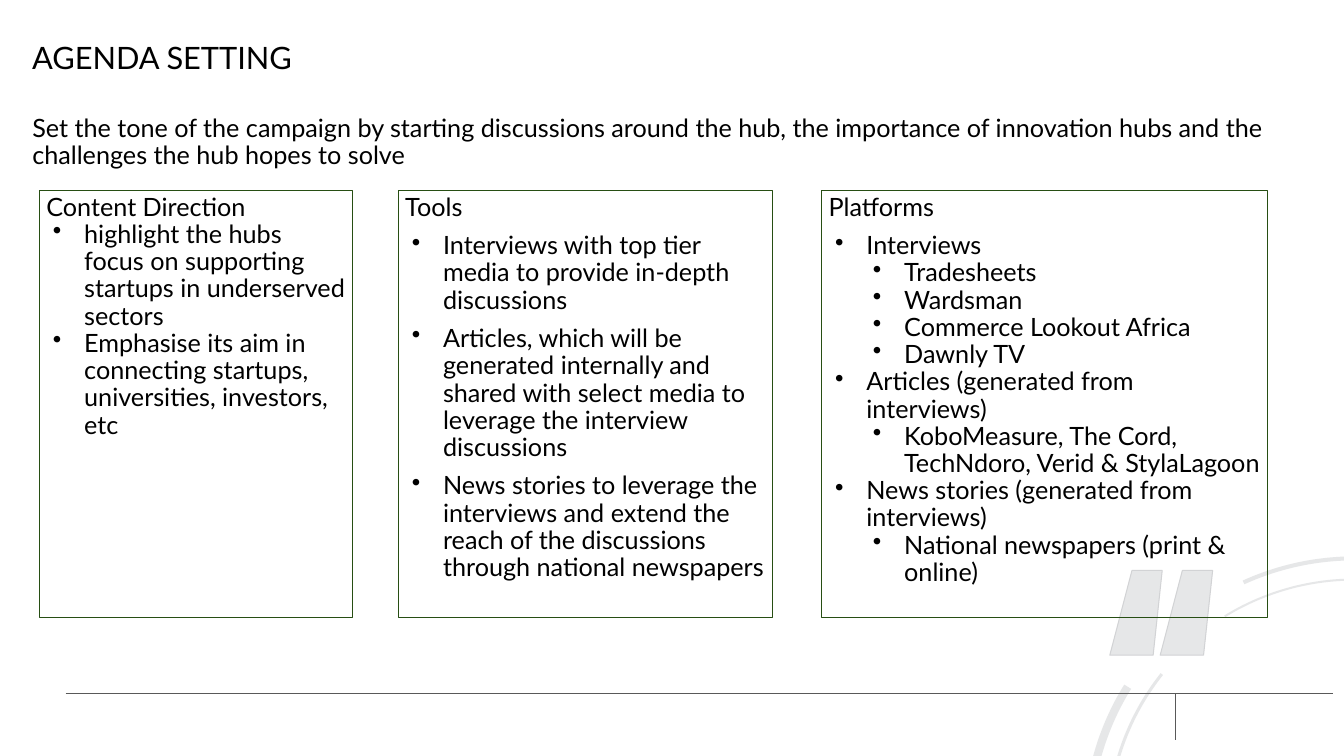
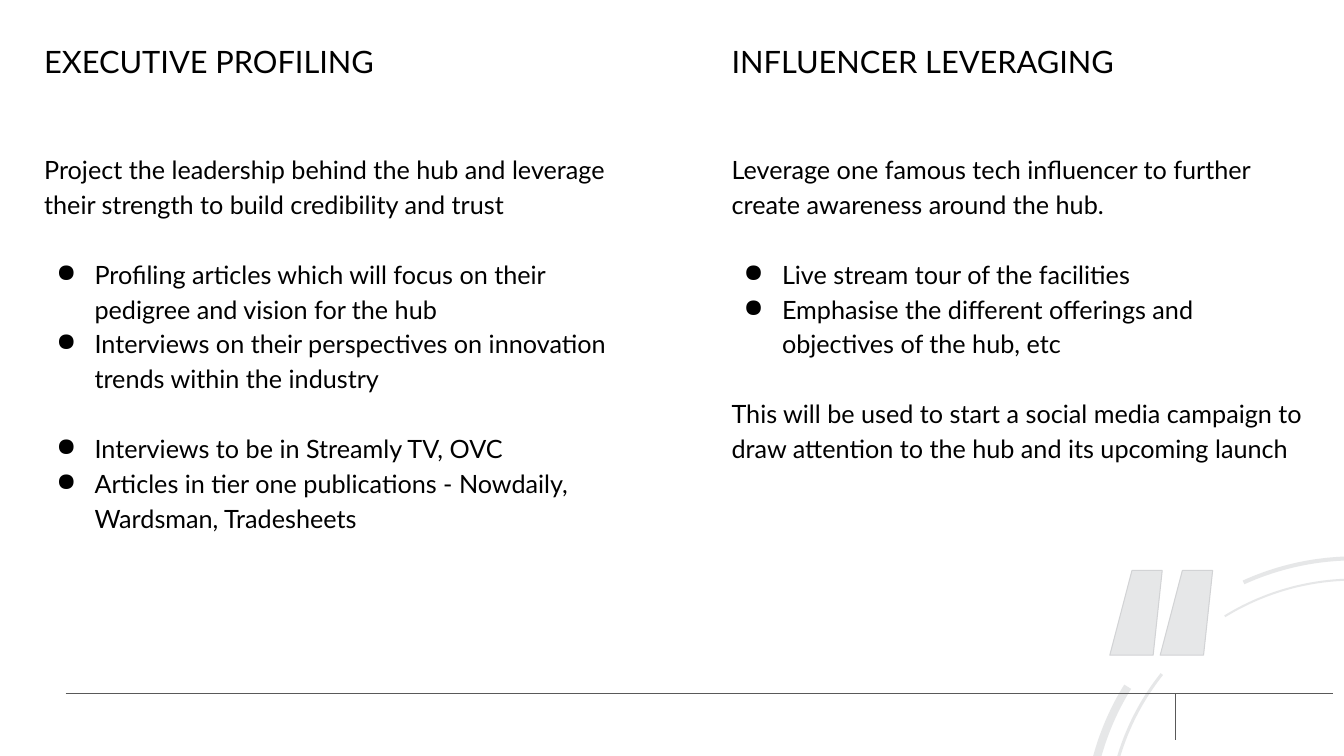
from math import cos, radians, sin

from lxml.etree import SubElement
from pptx import Presentation
from pptx.dml.color import RGBColor
from pptx.enum.shapes import MSO_CONNECTOR, MSO_SHAPE
from pptx.enum.text import MSO_ANCHOR, PP_ALIGN
from pptx.oxml.ns import qn
from pptx.util import Inches, Pt

COLS, ROWS = 133.33, 75  # grid of tenths of an inch
FONT = "Lato"
BLACK, GREY, EDGE, RULE, GREEN = "000000", "E6E7E8", "D2D3D5", "595959", "274E13"
TITLE_SIZE, BODY_SIZE = 22, 18

CAMPAIGN = ("Set the tone of the campaign by starting discussions around the hub, the "
            "importance of innovation hubs and the challenges the hub hopes to solve")

# Each line: text, list level (0 is plain), points of space before
PANELS = [
    (3.9, 31.1, [
        ("Content Direction", 0, 0),
        ("highlight the hubs focus on supporting startups in underserved sectors", 1, 0),
        ("Emphasise its aim in connecting startups, universities, investors, etc", 1, 0),
    ]),
    (39.5, 37.1, [
        ("Tools", 0, 0),
        ("Interviews with top tier media to provide in-depth discussions", 1, 8),
        ("Articles, which will be generated internally and shared with select media "
         "to leverage the interview discussions", 1, 8),
        ("News stories to leverage the interviews and extend the reach of the "
         "discussions through national newspapers", 1, 8),
    ]),
    (81.5, 44.2, [
        ("Platforms", 0, 0),
        ("Interviews", 1, 8),
        ("Tradesheets", 2, 0),
        ("Wardsman", 2, 0),
        ("Commerce Lookout Africa", 2, 0),
        ("Dawnly TV", 2, 0),
        ("Articles (generated from interviews)", 1, 0),
        ("KoboMeasure, The Cord, TechNdoro, Verid & StylaLagoon", 2, 0),
        ("News stories (generated from interviews)", 1, 0),
        ("National newspapers (print & online)", 2, 0),
    ]),
]

LINE_GAP = 25
TOPICS = [
    (3.4, "EXECUTIVE PROFILING", [
        ("Project the leadership behind the hub and leverage their strength to build "
         "credibility and trust", 0, 0),
        ("Profiling articles which will focus on their pedigree and vision for the hub",
         1, LINE_GAP),
        ("Interviews on their perspectives on innovation trends within the industry", 1, 0),
        ("Interviews to be in Streamly TV, OVC", 1, LINE_GAP),
        ("Articles in tier one publications - Nowdaily, Wardsman, Tradesheets", 1, 0),
    ]),
    (71.6, "INFLUENCER LEVERAGING", [
        ("Leverage one famous tech influencer to further create awareness around the hub.",
         0, 0),
        ("Live stream tour of the facilities", 1, LINE_GAP),
        ("Emphasise the different offerings and objectives of the hub, etc", 1, 0),
        ("This will be used to start a social media campaign to draw attention to the hub "
         "and its upcoming launch", 0, LINE_GAP),
    ]),
]

# Text styles: insets in inches, line spacing, bullet, indent step and hang in inches
COMPACT = dict(insets=(0.07, 0.04), spacing=0.9, bullet="•", step=0.375, hang=0.31)
ROOMY = dict(insets=(0.1, 0.1), spacing=1.15, bullet="●", step=0.5, hang=0.38)


def rgb(value):
    return RGBColor.from_string(value)


def grid(*units):
    return [Inches(u / 10) for u in units]


def set_line(sp, colour):
    sp.line.color.rgb = rgb(colour)
    sp.line.width = Pt(0.75)


def add_bullet(p, level, style):
    pPr = p._p.get_or_add_pPr()
    pPr.set("marL", str(Inches(style["step"] * level)))
    pPr.set("indent", str(-Inches(style["hang"])))
    clr = SubElement(pPr, qn("a:buClr"))
    SubElement(clr, qn("a:srgbClr")).set("val", BLACK)
    SubElement(pPr, qn("a:buChar")).set("char", style["bullet"])


def fill_text(sp, lines, style, size=BODY_SIZE, anchor=MSO_ANCHOR.TOP):
    tf = sp.text_frame
    side, top = map(Inches, style["insets"])
    frame = dict(word_wrap=True, vertical_anchor=anchor, margin_left=side,
                 margin_right=side, margin_top=top, margin_bottom=top)
    for name, value in frame.items():
        setattr(tf, name, value)
    for i, (text, level, before) in enumerate(lines):
        p = tf.add_paragraph() if i else tf.paragraphs[0]
        if level:
            p.level = level - 1
            add_bullet(p, level, style)
        layout = dict(alignment=PP_ALIGN.LEFT, line_spacing=style["spacing"],
                      space_before=Pt(before))
        for name, value in layout.items():
            setattr(p, name, value)
        r = p.add_run()
        r.text = text
        r.font.name, r.font.size = FONT, Pt(size)
        r.font.color.rgb = rgb(BLACK)


def add_text(s, box, lines, style, **options):
    fill_text(s.shapes.add_textbox(*grid(*box)), lines, style, **options)


def add_outline(s, contours, line=None):
    """Draw closed contours, given in grid units, as one grey freeform."""
    first, *others = [[tuple(grid(*pt)) for pt in c] for c in contours]
    builder = s.shapes.build_freeform(*first[0])
    builder.add_line_segments(first[1:])
    for contour in others:
        builder.move_to(*contour[0])
        builder.add_line_segments(contour[1:])
    sp = builder.convert_to_shape()
    sp.shadow.inherit = False
    sp.fill.solid()
    sp.fill.fore_color.rgb = rgb(GREY)
    if line:
        set_line(sp, line)
    else:
        sp.line.fill.background()


def arc_band(cx, cy, outer, inner, start, end, steps=24):
    """Points of a ring segment; angles run anticlockwise from the top."""
    angles = [radians(start + (end - start) * i / steps) for i in range(steps + 1)]
    return [(cx - rad * sin(a), cy - rad * cos(a))
            for rad, turn in ((outer, angles), (inner, angles[::-1])) for a in turn]


def quote_emblem(s, x, y):
    cx, cy = x + 26, y + 26.9
    bands = [(26.9, 26.1, 58.2, 74.7), (24.6, 24.3, 51.5, 73.2),
             (24.7, 24.5, 2.5, 31.6), (26.9, 26.5, 2.3, 24.4)]
    add_outline(s, [arc_band(cx, cy, *band) for band in bands])
    top, bottom = y + 1.4, y + 9.8
    marks = [[(left + 2.2, top), (left + 5.2, top), (left + 4.3, bottom), (left, bottom)]
             for left in (x + 1.7, x + 6.7)]
    add_outline(s, marks, EDGE)


def footer_rules(s, left, top, right, tick, bottom):
    for ends in ((tick, top, tick, bottom), (left, top, right, top)):
        ln = s.shapes.add_connector(MSO_CONNECTOR.STRAIGHT, *grid(*ends))
        set_line(ln, RULE)
        SubElement(ln._element.spPr, qn("a:effectLst"))


def new_slide(prs):
    s = prs.slides.add_slide(prs.slide_layouts[6])
    quote_emblem(s, 108.4, 55.2)
    footer_rules(s, 6.5, 68.8, 132.2, 116.6, 73.4)
    return s


def add_panel(s, box, lines):
    sp = s.shapes.add_shape(MSO_SHAPE.RECTANGLE, *grid(*box))
    sp.shadow.inherit = False
    sp.fill.background()
    set_line(sp, GREEN)
    fill_text(sp, lines, COMPACT)


def add_topic(s, x, y, w, title, lines):
    add_text(s, (x, y, w, 7.9), [(title, 0, 0)], {**ROOMY, "spacing": 1.0}, size=TITLE_SIZE)
    add_text(s, (x, y + 10.7, w, 46.8), lines, ROOMY)


def agenda_slide(prs):
    s = new_slide(prs)
    add_text(s, (2.5, 2.7, 65.4, 5.3), [("AGENDA SETTING", 0, 0)], COMPACT,
             size=TITLE_SIZE, anchor=MSO_ANCHOR.BOTTOM)
    add_text(s, (2.5, 11.1, 123.8, 6.6), [(CAMPAIGN, 0, 0)], COMPACT)
    for x, w, lines in PANELS:
        add_panel(s, (x, 18.9, w, 42.4), lines)


def topics_slide(prs):
    s = new_slide(prs)
    for x, title, lines in TOPICS:
        add_topic(s, x, 3.2, 59.3, title, lines)


def main():
    prs = Presentation()
    prs.slide_width, prs.slide_height = grid(COLS, ROWS)
    agenda_slide(prs)
    topics_slide(prs)
    prs.save("out.pptx")


if __name__ == "__main__":
    main()
